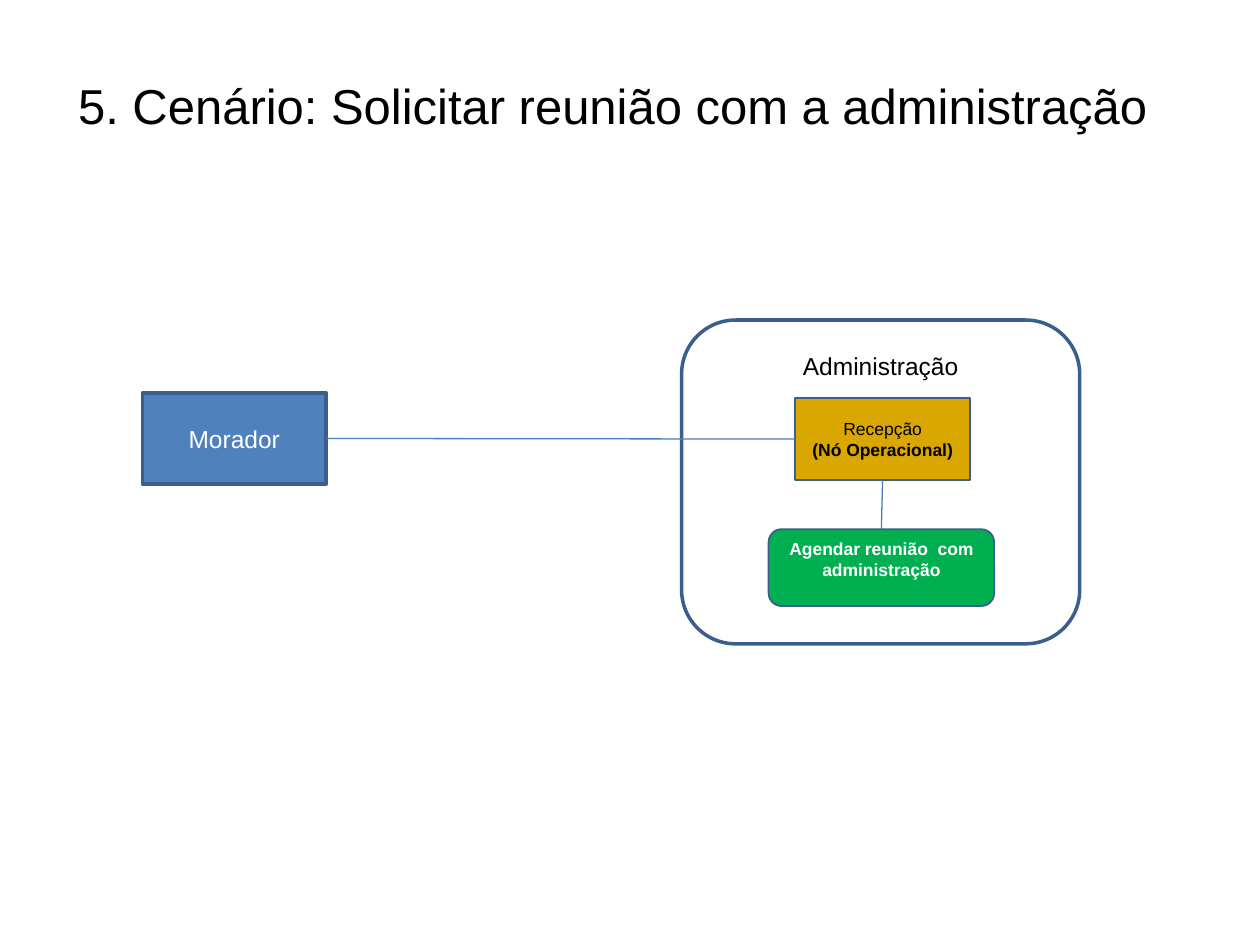
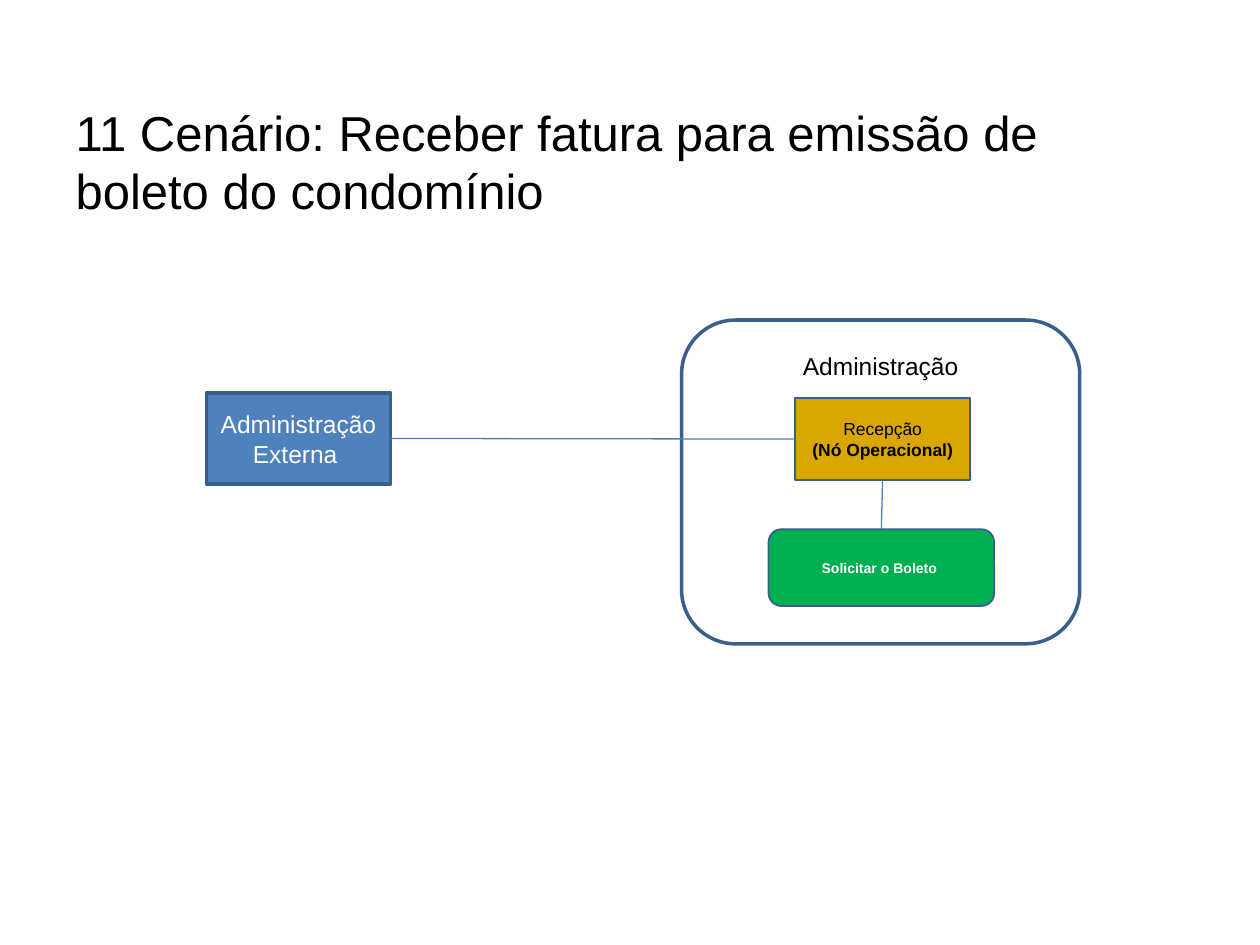
from pptx import Presentation
from pptx.dml.color import RGBColor as RGB
from pptx.enum.shapes import MSO_CONNECTOR as LINK, MSO_SHAPE as FORM
from pptx.enum.text import MSO_ANCHOR as ANCHOR, MSO_AUTO_SIZE as FIT, PP_ALIGN as ALIGN
from pptx.oxml.ns import qn
from pptx.util import Inches, Pt
from lxml import etree

HUES = {
    "black": "000000",
    "white": "FFFFFF",
    "blue": "4F81BD",
    "edge": "3A5F8C",
    "link": "4B7EBC",
    "gold": "DAA600",
    "green": "00B050",
}
FONT = "Arial"
TOP, LEFT, BOTTOM, RIGHT = range(4)


class Deck:
    """Hold the shared style and the current slide."""

    def __init__(self):
        self.prs = Presentation()
        self.prs.slide_width = Inches(10)
        self.prs.slide_height = Inches(7.5)
        self.slide = None

    def hue(self, name):
        return RGB.from_string(HUES[name])

    def add_text(self, para, text, size, hue, bold=False):
        run = para.add_run()
        run.text = text
        run.font.name = FONT
        run.font.size = Pt(size)
        run.font.bold = bold
        run.font.color.rgb = self.hue(hue)

    def start(self, title, left, top, high):
        self.slide = self.prs.slides.add_slide(self.prs.slide_layouts[5])
        head = self.slide.shapes.title
        head.left, head.top = Inches(left), Inches(top)
        head.width, head.height = Inches(9), Inches(high)
        frame = head.text_frame
        frame.word_wrap = True
        frame.auto_size = FIT.NONE
        frame.vertical_anchor = ANCHOR.TOP
        para = frame.paragraphs[0]
        para.alignment = ALIGN.LEFT
        self.add_text(para, title, 28, "black")

    def box(self, form, area, lines, size, ink, fill=None, edge=1,
            anchor=ANCHOR.MIDDLE, pads=(0.05, 0.05)):
        shape = self.slide.shapes.add_shape(form, *map(Inches, area))
        shape.shadow.inherit = False
        if fill:
            shape.fill.solid()
            shape.fill.fore_color.rgb = self.hue(fill)
        else:
            shape.fill.background()
        shape.line.color.rgb = self.hue("edge")
        shape.line.width = Pt(edge)
        frame = shape.text_frame
        frame.word_wrap = True
        frame.vertical_anchor = anchor
        frame.margin_top, frame.margin_bottom = map(Inches, pads)
        for i, (text, bold) in enumerate(lines):
            para = frame.add_paragraph() if i else frame.paragraphs[0]
            para.alignment = ALIGN.CENTER
            self.add_text(para, text, size, ink, bold)
        return shape

    def link(self, start, exit_side, end, entry_side):
        line = self.slide.shapes.add_connector(LINK.STRAIGHT, 0, 0, 0, 0)
        line.begin_connect(start, exit_side)
        line.end_connect(end, entry_side)
        line.line.color.rgb = self.hue("link")
        line.line.width = Pt(0.75)
        etree.SubElement(line._element.spPr, qn("a:effectLst"))

    def scene(self, actor, left, task, size, pads=(0.05, 0.05)):
        user = self.box(FORM.RECTANGLE, (left, 3.12, 1.46, 0.72),
                        [(actor, False)], 14, "white", "blue", 2)
        self.box(FORM.ROUNDED_RECTANGLE, (5.41, 2.54, 3.16, 2.57),
                 [("Administração", False)], 14, "black", edge=2,
                 anchor=ANCHOR.TOP, pads=(0.12, 0.05))
        desk = self.box(FORM.RECTANGLE, (6.31, 3.16, 1.39, 0.65),
                        [("Recepção", False), ("(Nó Operacional)", True)],
                        10, "black", "gold")
        self.link(user, RIGHT, desk, LEFT)
        step = self.box(FORM.ROUNDED_RECTANGLE, (6.1, 4.2, 1.79, 0.61),
                        [(task, True)], size, "white", "green", pads=pads)
        self.link(desk, BOTTOM, step, TOP)


def main():
    deck = Deck()
    deck.start("5. Cenário: Solicitar reunião com a administração",
               0.52, 0.55, 0.57)
    deck.scene("Morador", 1.13, "Agendar reunião  com administração", 10,
               pads=(0.05, 0.18))
    deck.start("11 Cenário: Receber fatura para emissão de boleto do condomínio",
               0.5, 0.76, 1.1)
    deck.scene("Administração Externa ", 1.64, "Solicitar o Boleto ", 8)
    deck.prs.save("out.pptx")


if __name__ == "__main__":
    main()
